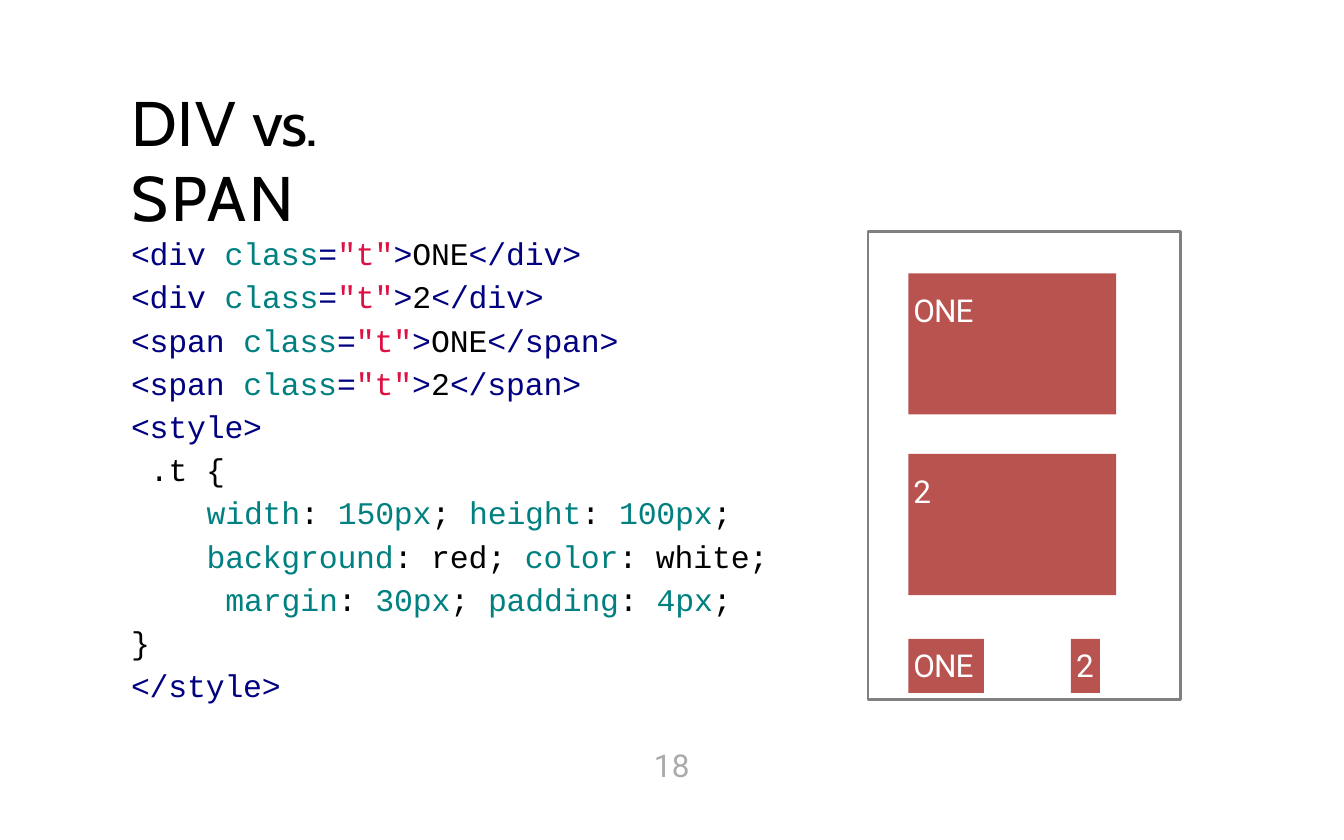
"""Builds the slide that compares DIV and SPAN boxes."""
import dataclasses

import lxml.etree
import pptx
import pptx.dml.color
import pptx.enum.shapes
import pptx.enum.text
import pptx.oxml.ns
import pptx.util

WIDTH, HEIGHT = pptx.util.Inches(10.67), pptx.util.Inches(6.67)
COLS, ROWS = 64, 40


@dataclasses.dataclass(frozen=True)
class Theme:
    heading: str = "Cabin"
    sans: str = "Roboto"
    mono: str = "Courier New"
    title_size: float = 36
    text_size: float = 18
    code_gap: float = 3.1
    char_width: float = 10.8
    ink: str = "000000"
    tag: str = "000080"
    name: str = "008080"
    string: str = "DD1144"
    box: str = "B8534F"
    box_text: str = "FFFFFF"
    frame: str = "808080"
    page: str = "AAAAAA"


THEME = Theme()


def rgb(color):
    return pptx.dml.color.RGBColor.from_string(color)


def area(left, top, width, height):
    col, row = WIDTH / COLS, HEIGHT / ROWS
    return round(left * col), round(top * row), round(width * col), round(height * row)


def place(sp, box):
    sp.left, sp.top, sp.width, sp.height = area(*box)


def prepare(sp, left, top):
    tf = sp.text_frame
    tf.word_wrap = True
    tf.auto_size = pptx.enum.text.MSO_AUTO_SIZE.NONE
    tf.vertical_anchor = pptx.enum.text.MSO_ANCHOR.TOP
    tf.margin_left, tf.margin_top = pptx.util.Inches(left), pptx.util.Inches(top)
    tf.margin_right = tf.margin_bottom = 0
    return tf


def style(p, font, size, color=None):
    p.alignment = pptx.enum.text.PP_ALIGN.LEFT
    p.font.name, p.font.size = font, pptx.util.Pt(size)
    if color:
        p.font.color.rgb = rgb(color)


def add_run(p, text, spacing, color=None):
    r = p.add_run()
    r.text = text
    if color:
        r.font.color.rgb = rgb(color)
    r._r.get_or_add_rPr().set("spc", str(round(spacing * 100)))


def add_title(s, box, parts):
    sp = s.shapes.title
    place(sp, box)
    p = prepare(sp, 0.01, 0.01).paragraphs[0]
    style(p, THEME.heading, THEME.title_size, THEME.ink)
    for text, spacing in parts:
        add_run(p, text, spacing)


def element(tag, text):
    return 0, [(f"<{tag} ", THEME.tag), ("class", THEME.name), ("=", THEME.tag),
               ('"t"', THEME.string), (">", THEME.tag), (text, THEME.ink),
               (f"</{tag}>", THEME.tag)]


def declarations(indent, *pairs):
    tokens = []
    for i, (name, value) in enumerate(pairs):
        value_color = THEME.name if value.endswith("px") else THEME.ink
        end = "; " if i < len(pairs) - 1 else ";"
        tokens += [(name, THEME.name), (": ", THEME.ink),
                   (value, value_color), (end, THEME.ink)]
    return indent, tokens


def add_code(s, box, lines):
    sp = s.placeholders[1]
    place(sp, box)
    tf = prepare(sp, 0.01, 0.06)
    for i, (indent, tokens) in enumerate(lines):
        p = tf.add_paragraph() if i else tf.paragraphs[0]
        style(p, THEME.mono, THEME.text_size)
        p.space_before = pptx.util.Pt(THEME.code_gap)
        pPr = p._p.get_or_add_pPr()
        pPr.set("marL", str(pptx.util.Pt(indent * THEME.char_width)))
        pPr.set("indent", "0")
        bullet = lxml.etree.Element(pptx.oxml.ns.qn("a:buNone"))
        pPr.find(pptx.oxml.ns.qn("a:spcBef")).addnext(bullet)
        for text, color in tokens:
            add_run(p, text, -0.1, color)


def add_rectangle(s, box):
    sp = s.shapes.add_shape(pptx.enum.shapes.MSO_SHAPE.RECTANGLE, *area(*box))
    sp.shadow.inherit = False
    return sp


def add_frame(s, box):
    sp = add_rectangle(s, box)
    sp.fill.background()
    sp.line.color.rgb = rgb(THEME.frame)
    sp.line.width = pptx.util.Pt(1.5)


def add_label(sp, text, inset, spacing, color):
    p = prepare(sp, 0.04, inset).paragraphs[0]
    style(p, THEME.sans, THEME.text_size, color)
    add_run(p, text, spacing)


def add_box(s, box, text, inset, spacing):
    sp = add_rectangle(s, box)
    sp.fill.solid()
    sp.fill.fore_color.rgb = rgb(THEME.box)
    sp.line.fill.background()
    add_label(sp, text, inset, spacing, THEME.box_text)


def add_page_number(s, box, text):
    sp = s.shapes.add_textbox(*area(*box))
    add_label(sp, text, 0.03, 0.2, THEME.page)


def main():
    prs = pptx.Presentation()
    prs.slide_width, prs.slide_height = WIDTH, HEIGHT
    s = prs.slides.add_slide(prs.slide_layouts[1])
    add_title(s, (6.18, 3.9, 17.04, 3.78),
              [("DIV ", 0.7), ("vs. ", -1.2), ("S", 2.3), ("P", -0.8), ("AN", 1.6)])
    add_code(s, (6.18, 10.8, 30.78, 22.86), [
        *(element(tag, text) for tag in ("div", "span") for text in ("ONE", "2")),
        (0, [("<style>", THEME.tag)]),
        (1, [(".t {", THEME.ink)]),
        declarations(4, ("width", "150px"), ("height", "100px")),
        declarations(4, ("background", "red"), ("color", "white")),
        declarations(5, ("margin", "30px"), ("padding", "4px")),
        (0, [("}", THEME.ink)]),
        (0, [("</style>", THEME.tag)]),
    ])
    add_frame(s, (41.34, 11.04, 14.88, 22.26))
    labels = (("ONE", -0.5, 43.26, 3.6), ("2", 0.2, 51, 1.38))
    for i, (text, spacing, left, width) in enumerate(labels):
        add_box(s, (43.26, 13.02 + i * 8.6, 9.9, 6.72), text, 0.14, spacing)
        add_box(s, (left, 30.42, width, 2.58), text, 0.06, spacing)
    add_page_number(s, (30.9, 35.34, 2.22, 2.22), "18")
    prs.save("out.pptx")


if __name__ == "__main__":
    main()
